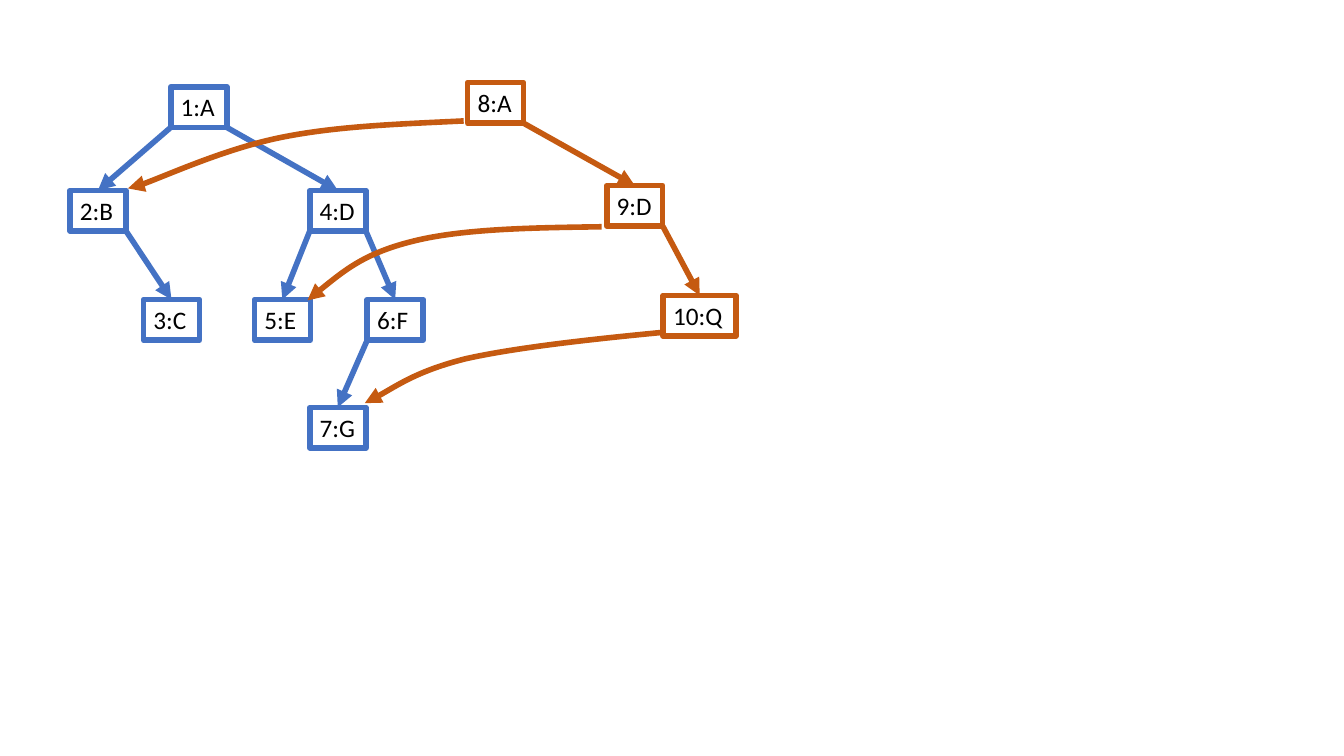
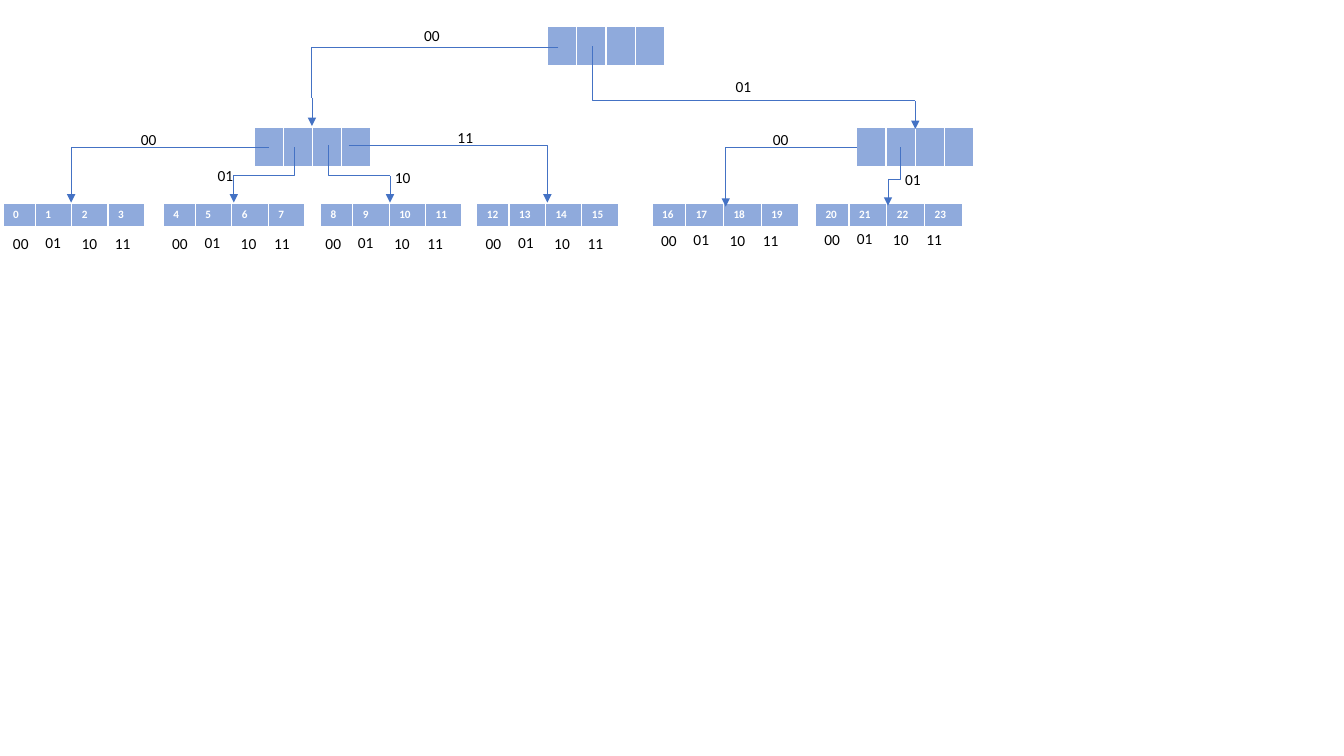
from collections import namedtuple
from dataclasses import dataclass

from lxml import etree
from pptx import Presentation
from pptx.dml.color import RGBColor
from pptx.enum.shapes import MSO_CONNECTOR
from pptx.enum.text import MSO_AUTO_SIZE
from pptx.oxml.ns import qn
from pptx.util import Pt

STRAIGHT = MSO_CONNECTOR.STRAIGHT
ELBOW = MSO_CONNECTOR.ELBOW
FIT_SHAPE = MSO_AUTO_SIZE.SHAPE_TO_FIT_TEXT
BLANK_LAYOUT = 6
TOP_SITE = 0


@dataclass(frozen=True)
class Theme:
    font: str = "Calibri"
    blue: str = "4472C4"
    orange: str = "C55A11"
    cell: str = "8FAADC"
    white: str = "FFFFFF"
    black: str = "000000"
    node_size: float = 18
    label_size: float = 11
    cell_size: float = 8
    thick: float = 4
    thin: float = 0.5


THEME = Theme()
Route = namedtuple("Route", "label label_at start corner horizontal_first tip")
Leaf = namedtuple("Leaf", "left widths caption_left caption_top")

# Tree slide: node positions are relative to the tree's box
NODE_WIDTH, WIDE_NODE_WIDTH, NODE_HEIGHT = 40, 52, 29
FIRST_TREE = {
    "1:A": (72, 0), "2:B": (0, 74), "4:D": (171.3, 74), "3:C": (52.5, 152),
    "5:E": (131.7, 152), "6:F": (212.3, 152), "7:G": (171.3, 229),
}
FIRST_EDGES = [("1:A", "2:B"), ("1:A", "4:D"), ("4:D", "5:E"),
               ("4:D", "6:F"), ("2:B", "3:C"), ("6:F", "7:G")]
SECOND_TREE = {"8:A": (0, 0), "9:D": (99.4, 73.5), "10:Q": (139.8, 152)}
SECOND_EDGES = [("8:A", "9:D"), ("9:D", "10:Q")]
# Each curve is a start point followed by two Bézier segments
SHARED_CURVES = [
    [(-2.8, 27.4), (-47.4, 29.6), (-92.1, 31), (-131.7, 38.9),
     (-172, 46.8), (-246.9, 80), (-242.6, 75.6)],
    [(95.8, 103), (46.9, 103.7), (-2.8, 104.4), (-38.1, 113.1),
     (-73.4, 121.7), (-93.5, 138.3), (-114.4, 155.6)],
    [(137.6, 178.6), (85.8, 183.6), (33.9, 189.4), (-1.4, 197.3),
     (-35.9, 206), (-61.1, 223.2), (-73.4, 229)],
]

# Index slide: route positions are relative to the index node's box
NODE_CELLS, NODE_ROW = (20.9,) * 4, 28.8
LEAF_CELLS, WIDE_LEAF_CELLS, LEAF_ROW, LEAF_TOP = (23, 26, 26, 26), (24, 27, 27, 27), 17.8, 145
LABEL_WIDTH, LABEL_HEIGHT = 30, 21
CAPTIONS = [("00", 0, 0), ("01", 23.2, -0.7), ("10", 49, 0), ("11", 72.8, 0)]
INDEX_NODES = [
    ((391, 18.7), [
        Route("00", (-95.1, -3.6), (7.9, 15.1), (-168.2, 51.1), True, 71.3),
        Route("01", (127.4, 33.1), (32.4, 14.4), (262.8, 53.3), False, 73.5),
    ]),
    ((181.4, 90.7), [
        Route("00", (-87.8, -1.4), (10.8, 14.4), (-130.6, 34.6), True, 54),
        Route("01", (-33.1, 24.5), (28.8, 14.4), (-14.4, 34.6), False, 54),
        Route("10", (93.6, 25.9), (53.3, 13), (97.2, 34.9), False, 54),
        Route("11", (138.3, -2.9), (67.7, 13), (209.6, 35.3), True, 54),
    ]),
    ((612, 90.7), [
        Route("00", (-67, -1.4), (0, 14.4), (-93.6, 37.5), True, 56.9),
        Route("01", (27.4, 27.4), (31, 14.4), (22.3, 37.1), False, 56.2),
    ]),
]
LEAVES = [
    Leaf(2.2, LEAF_CELLS, 2.2, 163.4),
    Leaf(116.6, LEAF_CELLS, 115.9, 163.4),
    Leaf(229, LEAF_CELLS, 225.4, 163.4),
    Leaf(340.6, LEAF_CELLS, 339.8, 163.4),
    Leaf(465.8, WIDE_LEAF_CELLS, 465.1, 161.3),
    Leaf(582.5, WIDE_LEAF_CELLS, 581.8, 160.6),
]


# Shared helpers
def rgb(value):
    return RGBColor.from_string(value)


def write_text(text_frame, text, size, color=THEME.black, bold=False):
    paragraph = text_frame.paragraphs[0]
    run = paragraph.add_run()
    run.text = text
    run.font.name = THEME.font
    run.font.size = Pt(size)
    run.font.bold = bold
    run.font.color.rgb = rgb(color)


def add_text(slide, text, left, top, width, height, size, wrap=True):
    shape = slide.shapes.add_textbox(Pt(left), Pt(top), Pt(width), Pt(height))
    shape.text_frame.word_wrap = wrap
    shape.text_frame.auto_size = FIT_SHAPE
    write_text(shape.text_frame, text, size)
    return shape


def style_line(shape, color, width, arrow=False):
    shape.line.color.rgb = rgb(color)
    shape.line.width = Pt(width)
    if arrow:
        line = shape.element.spPr.find(qn("a:ln"))
        etree.SubElement(line, qn("a:tailEnd"), type="triangle")


def add_line(slide, start, end, color, width, kind=STRAIGHT, arrow=False):
    connector = slide.shapes.add_connector(kind, *(Pt(value) for value in (*start, *end)))
    style_line(connector, color, width, arrow)
    etree.SubElement(connector.element.spPr, qn("a:effectLst"))
    return connector


# Tree slide
def draw_tree(slide, left, top, positions, edges, color):
    nodes = {}
    for name, (x, y) in positions.items():
        width = WIDE_NODE_WIDTH if len(name) > 3 else NODE_WIDTH
        nodes[name] = add_text(slide, name, left + x, top + y, width, NODE_HEIGHT,
                               THEME.node_size, wrap=False)
        style_line(nodes[name], color, THEME.thick)
    # Edges run from a lower corner of the parent to the top of the child
    for parent, child in edges:
        parent_x, parent_y = positions[parent]
        child_x, child_y = positions[child]
        corner_x = parent_x + (NODE_WIDTH if child_x > parent_x else 0)
        child_middle = child_x + nodes[child].width.pt / 2
        edge = add_line(slide, (left + corner_x, top + parent_y + NODE_HEIGHT),
                        (left + child_middle, top + child_y),
                        color, THEME.thick, arrow=True)
        edge.end_connect(nodes[child], TOP_SITE)


def draw_curve(slide, left, top, points, color):
    start, *others = [(Pt(left + x), Pt(top + y)) for x, y in points]
    builder = slide.shapes.build_freeform(*start)
    builder.add_line_segments(others, close=False)
    shape = builder.convert_to_shape()
    # Turn every three straight segments into one Bézier segment
    outline = next(shape.element.iter(qn("a:path")))
    segments = outline.findall(qn("a:lnTo"))
    for first in range(0, len(segments), 3):
        curve = etree.SubElement(outline, qn("a:cubicBezTo"))
        for segment in segments[first:first + 3]:
            curve.append(segment[0])
            outline.remove(segment)
    shape.fill.background()
    shape.shadow.inherit = False
    style_line(shape, color, THEME.thick, arrow=True)


def build_tree_slide(presentation):
    slide = presentation.slides.add_slide(presentation.slide_layouts[BLANK_LAYOUT])
    draw_tree(slide, 50, 62, FIRST_TREE, FIRST_EDGES, THEME.blue)
    second_left, second_top = 334, 59
    draw_tree(slide, second_left, second_top, SECOND_TREE, SECOND_EDGES, THEME.orange)
    for points in SHARED_CURVES:
        draw_curve(slide, second_left, second_top, points, THEME.orange)


# Index slide
def style_cell(cell):
    properties = cell._tc.get_or_add_tcPr()
    for side, width in (("L", 1), ("R", 1), ("T", 1), ("B", 3)):
        border = etree.SubElement(properties, qn(f"a:ln{side}"), w=str(Pt(width)))
        fill = etree.SubElement(border, qn("a:solidFill"))
        etree.SubElement(fill, qn("a:srgbClr"), val=THEME.white)
    cell.fill.solid()
    cell.fill.fore_color.rgb = rgb(THEME.cell)


def draw_array(slide, left, top, widths, height, values=None):
    frame = slide.shapes.add_table(1, len(widths), Pt(left), Pt(top),
                                   Pt(sum(widths)), Pt(height))
    table = frame.table
    table.first_row = table.horz_banding = False
    for index, width in enumerate(widths):
        table.columns[index].width = Pt(width)
        cell = table.cell(0, index)
        style_cell(cell)
        if values:
            write_text(cell.text_frame, str(values[index]), THEME.cell_size,
                       color=THEME.white, bold=True)


def draw_label(slide, text, left, top):
    add_text(slide, text, left, top, LABEL_WIDTH, LABEL_HEIGHT, THEME.label_size)


def draw_route(slide, left, top, route):
    start, corner, label_at = ((left + x, top + y) for x, y in
                               (route.start, route.corner, route.label_at))
    elbow = add_line(slide, start, corner, THEME.blue, THEME.thin, kind=ELBOW)
    # The bend sits at one end, so the elbow has a single visible corner
    guides = next(elbow.element.iter(qn("a:avLst")))
    bend = 100000 if route.horizontal_first else 0
    etree.SubElement(guides, qn("a:gd"), name="adj1", fmla=f"val {bend}")
    add_line(slide, corner, (corner[0], top + route.tip), THEME.blue, THEME.thin, arrow=True)
    draw_label(slide, route.label, *label_at)


def draw_leaf(slide, leaf, first_value):
    values = range(first_value, first_value + len(leaf.widths))
    draw_array(slide, leaf.left, LEAF_TOP, leaf.widths, LEAF_ROW, values)
    for text, x, y in CAPTIONS:
        draw_label(slide, text, leaf.caption_left + x, leaf.caption_top + y)


def build_index_slide(presentation):
    slide = presentation.slides.add_slide(presentation.slide_layouts[BLANK_LAYOUT])
    for (left, top), _ in INDEX_NODES:
        draw_array(slide, left, top, NODE_CELLS, NODE_ROW)
    for index, leaf in enumerate(LEAVES):
        draw_leaf(slide, leaf, index * len(leaf.widths))
    for (left, top), routes in INDEX_NODES:
        for route in routes:
            draw_route(slide, left, top, route)


def main():
    presentation = Presentation()
    presentation.slide_width, presentation.slide_height = Pt(960), Pt(540)
    build_tree_slide(presentation)
    build_index_slide(presentation)
    presentation.save("out.pptx")


if __name__ == "__main__":
    main()
